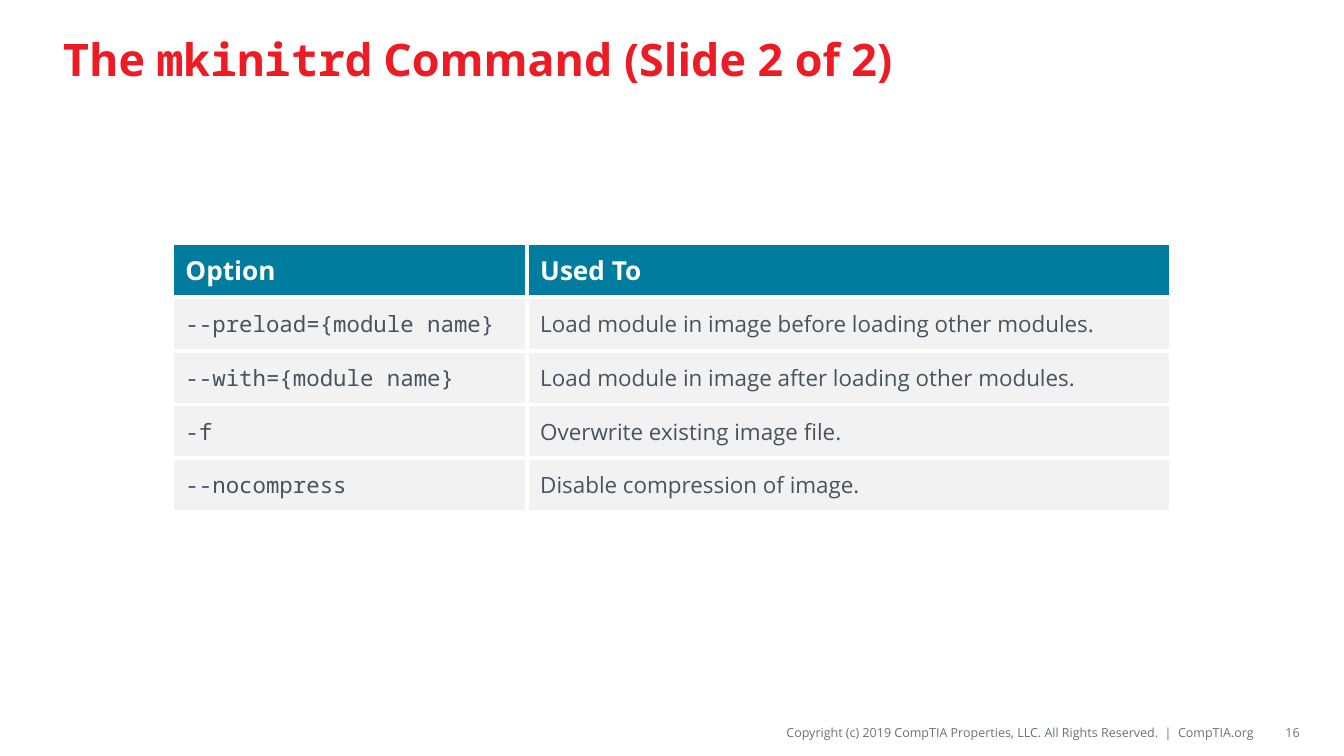
import pptx
import pptx.util
import pptx.dml.color
import pptx.enum.text
import pptx.oxml
import pptx.oxml.ns

Inches = pptx.util.Inches
Pt = pptx.util.Pt
RGBColor = pptx.dml.color.RGBColor
ALIGN = pptx.enum.text.PP_ALIGN
MIDDLE = pptx.enum.text.MSO_ANCHOR.MIDDLE

RED = RGBColor(0xED, 0x1C, 0x24)
TEAL = RGBColor(0x00, 0x7C, 0x9E)
SLATE = RGBColor(0x45, 0x54, 0x5F)
GREY = RGBColor(0x69, 0x72, 0x7B)
PALE = RGBColor(0xF2, 0xF2, 0xF2)
WHITE = RGBColor(0xFF, 0xFF, 0xFF)

SANS = "Open Sans"
MONO = "Noto Sans Mono"

# A 16:9 slide
SLIDE_WIDTH = 10
SLIDE_HEIGHT = SLIDE_WIDTH * 9 / 16

TITLE_PARTS = [("The ", SANS), ("mkinitrd", MONO),
               (" Command (Slide 2 of 2)", SANS)]
OPTIONS = [
    ("Option", "Used To"),
    ("--preload={module name}", "Load module in image before loading other modules."),
    ("--with={module name}", "Load module in image after loading other modules."),
    ("-f", "Overwrite existing image file."),
    ("--nocompress", "Disable compression of image."),
]
COLUMN_WIDTHS = (2.64, 4.79)
ROW_HEIGHT = 0.4
BORDER = 2.25
FOOTER_TOP, FOOTER_HEIGHT = 5.34, 0.22


def style_run(run, font_name, size, color, bold=False):
    font = run.font
    font.name, font.size, font.bold = font_name, Pt(size), bold
    font.color.rgb = color


def add_title(slide):
    title = slide.shapes.title
    title.left, title.top = Inches(0.37), Inches(0.09)
    title.width, title.height = Inches(9.25), Inches(0.69)
    frame = title.text_frame
    frame.vertical_anchor = MIDDLE
    frame.auto_size = pptx.enum.text.MSO_AUTO_SIZE.NONE
    heading = frame.paragraphs[0]
    heading.alignment = ALIGN.LEFT
    for words, font_name in TITLE_PARTS:
        run = heading.add_run()
        run.text = words
        style_run(run, font_name, 24, RED, bold=True)


def add_footer(slide, words, left, width, inset):
    footer = slide.shapes.add_textbox(Inches(left), Inches(FOOTER_TOP),
                                      Inches(width), Inches(FOOTER_HEIGHT))
    frame = footer.text_frame
    frame.word_wrap = True
    frame.vertical_anchor = MIDDLE
    frame.margin_left, frame.margin_right = Inches(inset), 0
    frame.margin_top = frame.margin_bottom = Inches(0.04)
    frame.text = words
    line = frame.paragraphs[0]
    line.alignment = ALIGN.RIGHT
    style_run(line.runs[0], SANS, 6.7, GREY)


def set_borders(cell):
    properties = cell._tc.get_or_add_tcPr()
    for position, side in enumerate(("lnL", "lnR", "lnT", "lnB")):
        border = pptx.oxml.parse_xml(
            f'<a:{side} {pptx.oxml.ns.nsdecls("a")} w="{Pt(BORDER)}">'
            f'<a:solidFill><a:srgbClr val="{WHITE}"/></a:solidFill></a:{side}>')
        properties.insert(position, border)


def fill_cell(cell, words, is_header, is_code):
    cell.text = words
    cell.vertical_anchor = MIDDLE
    cell.fill.solid()
    cell.fill.fore_color.rgb = TEAL if is_header else PALE
    set_borders(cell)
    run = cell.text_frame.paragraphs[0].runs[0]
    if is_header:
        style_run(run, SANS, 14, WHITE, bold=True)
    else:
        style_run(run, MONO if is_code else SANS, 12, SLATE)


def add_option_table(slide):
    table = slide.shapes.add_table(
        len(OPTIONS), len(COLUMN_WIDTHS), Inches(1.28), Inches(1.81),
        Inches(sum(COLUMN_WIDTHS)), Inches(ROW_HEIGHT * len(OPTIONS))).table
    for column, width in zip(table.columns, COLUMN_WIDTHS):
        column.width = Inches(width)
    for r, entries in enumerate(OPTIONS):
        table.rows[r].height = Inches(ROW_HEIGHT)
        for c, words in enumerate(entries):
            fill_cell(table.cell(r, c), words, is_header=r == 0, is_code=c == 0)


def main():
    deck = pptx.Presentation()
    deck.slide_width, deck.slide_height = Inches(SLIDE_WIDTH), Inches(SLIDE_HEIGHT)
    slide = deck.slides.add_slide(deck.slide_layouts[5])

    # Copyright line and slide number
    add_footer(slide, "Copyright (c) 2019 CompTIA Properties, LLC. "
               "All Rights Reserved.  |  CompTIA.org", 3.87, 5.47, 0)
    add_footer(slide, "16", 9.38, 0.29, 0.1)

    # Heading and command options
    add_title(slide)
    add_option_table(slide)

    deck.save("out.pptx")


if __name__ == "__main__":
    main()
